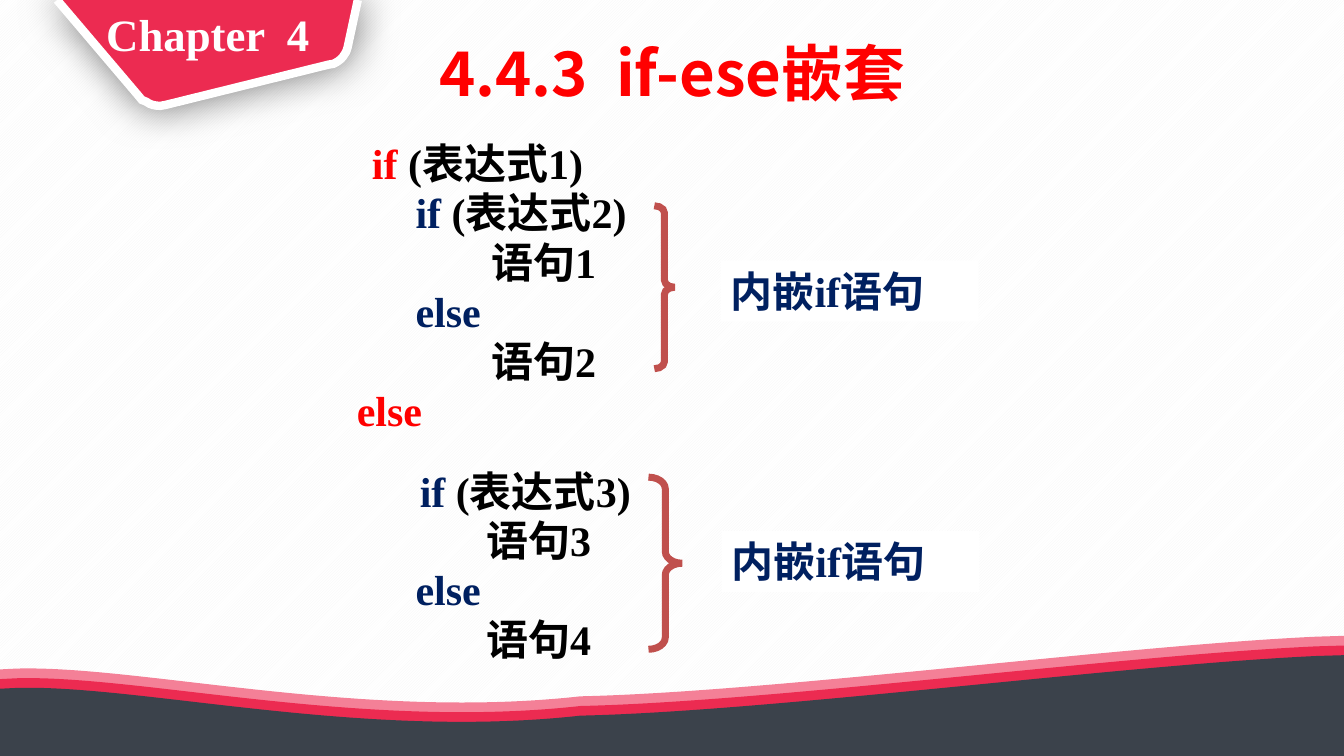
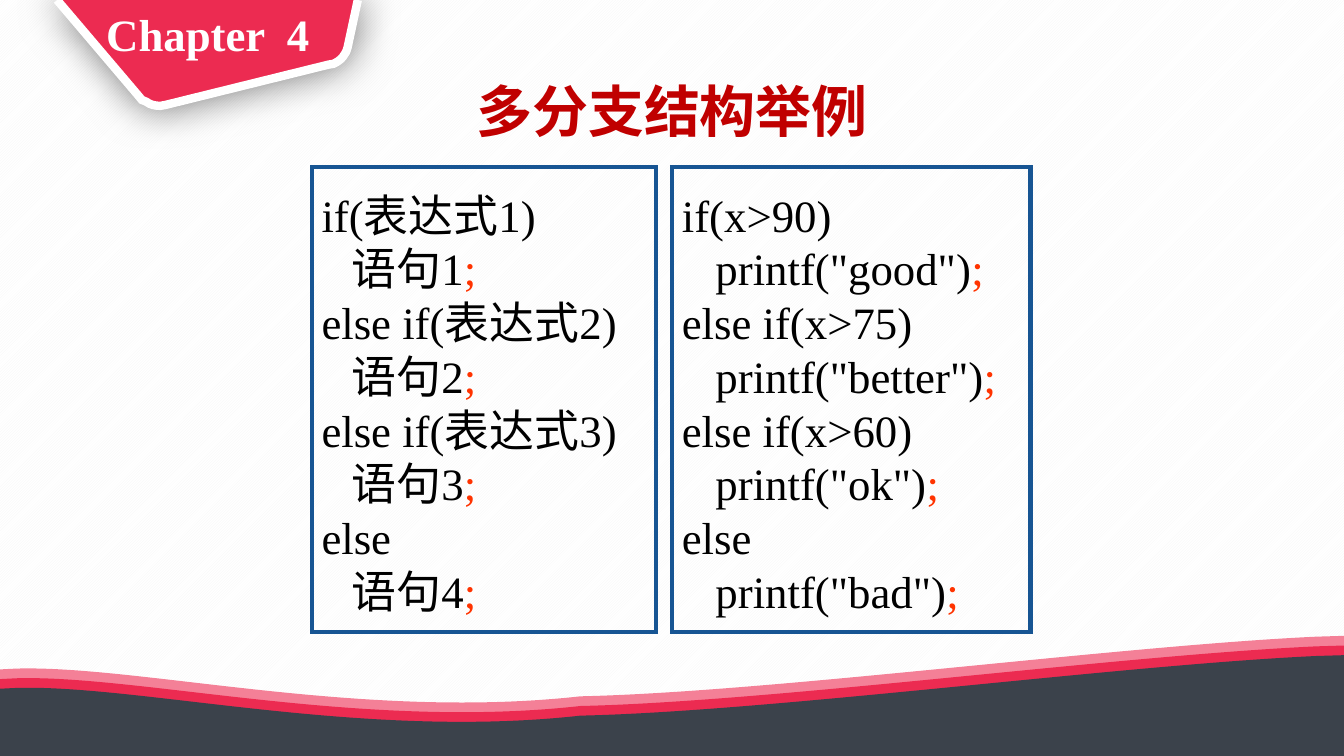
from dataclasses import dataclass

from lxml import etree
from pptx import Presentation, util as u
from pptx.dml.color import RGBColor
from pptx.enum import dml, shapes, text
from pptx.oxml.ns import qn

COLUMNS, ROWS = 160, 90
UNIT = u.Inches(7.5) / ROWS
SERIF, SANS = "Times New Roman", "Noto Sans CJK SC"
BLACK, WHITE, RED, NAVY = "000000", "FFFFFF", "FF0000", "002060"
CRIMSON, PINK, SLATE = "EC2B51", "F48097", "3B424B"
DARK_RED, BRACE_RED, FRAME_BLUE, SEMICOLON = "C00000", "C0504D", "175593", "FF3300"


@dataclass
class Box:
    """A rectangle in grid columns and rows."""
    left: float
    top: float
    width: float
    height: float

    def emu(self):
        return [grid(value) for value in (self.left, self.top, self.width, self.height)]


def grid(value):
    return u.Emu(round(value * UNIT))


def rgb(colour):
    return RGBColor.from_string(colour)


def paint(shape, fill=None, line=None, width=0):
    shape.shadow.inherit = False
    if fill:
        shape.fill.solid()
        shape.fill.fore_color.rgb = rgb(fill)
    else:
        shape.fill.background()
    if line:
        shape.line.color.rgb = rgb(line)
        shape.line.width = u.Pt(width)
        etree.SubElement(shape._element.spPr.find(qn("a:ln")), qn("a:miter"), lim="800000")
    else:
        shape.line.fill.background()
    return shape


def write(shape, lines, size, font=SERIF, bold=False, align=text.PP_ALIGN.LEFT,
          anchor=text.MSO_ANCHOR.TOP, spacing=None, before=0, top_inset=0.05):
    """Each line is (indent in columns, line spacing or None, [(words, colour), ...])."""
    frame = shape.text_frame
    frame.word_wrap = True
    frame.vertical_anchor = anchor
    frame.margin_top = u.Inches(top_inset)
    for index, (indent, line_spacing, runs) in enumerate(lines):
        paragraph = frame.paragraphs[0] if index == 0 else frame.add_paragraph()
        paragraph.alignment = align
        paragraph.line_spacing = line_spacing or spacing
        paragraph.space_before = u.Pt(before if index else 0)
        paragraph._p.get_or_add_pPr().set("marL", str(grid(indent)))
        for words, colour in runs:
            run = paragraph.add_run()
            run.text = words
            run.font.size, run.font.bold, run.font.name = u.Pt(size), bold, font
            run.font.color.rgb = rgb(colour)
            etree.SubElement(run._r.get_or_add_rPr(), qn("a:ea"), typeface=SANS)


def add_text(slide, box, lines, **style):
    shape = slide.shapes.add_textbox(*box.emu())
    write(shape, lines, **style)


def add_heading(slide, box, words, colour, **style):
    add_text(slide, box, [(0, 0.9, [(words, colour)])], bold=True,
             align=text.PP_ALIGN.CENTER, anchor=text.MSO_ANCHOR.MIDDLE, **style)


def add_outline(slide, outline, top=0, close=True):
    """Draw points, and curves given as (control, control, end)."""
    parts = [part if isinstance(part[0], tuple) else (part,) for part in outline]
    points = [(grid(x), grid(y + top)) for part in parts for x, y in part]
    builder = slide.shapes.build_freeform(*points[0])
    builder.add_line_segments(points[1:], close=close)
    shape = builder.convert_to_shape()
    segments = iter(list(shape._element.iter(qn("a:lnTo"))))
    for part in parts[1:]:
        segment = next(segments)
        if len(part) == 3:
            curve = etree.Element(qn("a:cubicBezTo"))
            segment.addprevious(curve)
            for piece in (segment, next(segments), next(segments)):
                curve.append(piece[0])
                piece.getparent().remove(piece)
    return shape


def add_glow(shape, blur, opacity):
    effects = shape._element.spPr.find(qn("a:effectLst"))
    shadow = etree.SubElement(effects, qn("a:outerShdw"), blurRad=str(u.Pt(blur)), dist="0")
    colour = etree.SubElement(shadow, qn("a:srgbClr"), val=BLACK)
    etree.SubElement(colour, qn("a:alpha"), val=str(opacity * 1000))


def add_wave(slide, top, colour):
    wave = [(COLUMNS, 0), (COLUMNS, 12), (0, 12), (0, 4), (2, 3.9),
            ((16.7, 3.5), (43, 10.1), (69.1, 7.2)),
            ((91.8, 6.7), (133, 1.2), (156.7, 0.1))]
    paint(add_outline(slide, wave, top), colour)


def add_chapter_tag(slide):
    tag = [(42.6, 0), (41.4, 5.6), ((41.2, 6.5), (40.6, 7.2), (39.7, 7.6)),
           (39.1, 7.7), (19.7, 12.5), (19.1, 12.6),
           ((18.5, 12.6), (17.9, 12.5), (17.4, 12.1)),
           (16.9, 11.9), (16.4, 11.3), (6.8, 0)]
    shape = paint(add_outline(slide, tag, close=False), CRIMSON, WHITE, 6)
    add_glow(shape, blur=29, opacity=52)


def add_slide(presentation, title, top, colour, size):
    slide = presentation.slides.add_slide(presentation.slide_layouts[6])
    add_wave(slide, 75.7, PINK)
    add_chapter_tag(slide)
    add_wave(slide, 76.85, CRIMSON)
    add_wave(slide, 78, SLATE)
    add_heading(slide, Box(10.3, 0.3, 28.9, 8.2), "Chapter  4", WHITE, size=32)
    add_heading(slide, Box(21.85, top, 116.3, 10), title, colour, size=size, font=SANS)
    return slide


def add_inner_if(slide, brace_box, label_box):
    label = slide.shapes.add_shape(shapes.MSO_SHAPE.RECTANGLE, *label_box.emu())
    write(paint(label, WHITE), [(0, None, [("内嵌if语句", NAVY)])], size=30, bold=True)
    brace = slide.shapes.add_shape(shapes.MSO_SHAPE.RIGHT_BRACE, *brace_box.emu())
    brace.adjustments[0] = 0.35
    paint(brace, line=BRACE_RED, width=5)


def add_code_frame(slide, box, code):
    frame = slide.shapes.add_shape(shapes.MSO_SHAPE.RECTANGLE, *box.emu())
    lines = []
    for line in code:
        runs = [(line.removesuffix(";"), BLACK)]
        if line.endswith(";"):
            runs.append((";", SEMICOLON))
        lines.append((0, None, runs))
    write(paint(frame, line=FRAME_BLUE, width=3), lines, size=32, top_inset=0.2)


def build_nested_if(presentation):
    slide = add_slide(presentation, "4.4.3  if-ese嵌套", 4.1, RED, 44)

    def condition(number, colour):
        return [("if ", colour), (f"(表达式{number})", BLACK)]

    def statement(number):
        return [(f"语句{number}", BLACK)]

    lines = [
        (6.9, 1.5, condition(1, RED)),
        (12.1, None, condition(2, NAVY)),
        (21.1, None, statement(1)),
        (12.1, None, [("else", NAVY)]),
        (21.1, None, statement(2)),
        (5.1, None, [("else", RED)]),
        (12.6, 1.5, condition(3, NAVY)),
        (20.5, None, statement(3)),
        (12.1, None, [("else", NAVY)]),
        (20.5, None, statement(4)),
    ]
    add_text(slide, Box(36.2, 12.8, 81.6, 67.7), lines, size=30, bold=True,
             spacing=0.9, before=3)
    add_inner_if(slide, Box(77.9, 24.5, 2.4, 19.4), Box(85.8, 31, 30.7, 7.3))
    add_inner_if(slide, Box(77.2, 56.8, 4, 20.5), Box(85.9, 63.2, 30.7, 7.3))


def build_branch_example(presentation):
    slide = add_slide(presentation, "多分支结构举例", 8.6, DARK_RED, 40)
    tests = ("if({})", "else if({})", "else if({})", "else")
    examples = (
        (Box(37.1, 19.9, 41, 55.3), ("表达式1", "表达式2", "表达式3", ""),
         ("语句1", "语句2", "语句3", "语句4")),
        (Box(80, 19.9, 42.7, 55.3), ("x>90", "x>75", "x>60", ""),
         ('printf("good")', 'printf("better")', 'printf("ok")', 'printf("bad")')),
    )
    for box, conditions, statements in examples:
        code = []
        for test, condition, statement in zip(tests, conditions, statements):
            code += [test.format(condition), f"   {statement};"]
        add_code_frame(slide, box, code)


def main():
    presentation = Presentation()
    presentation.slide_width, presentation.slide_height = grid(COLUMNS), grid(ROWS)
    backdrop = presentation.slide_master.background.fill
    backdrop.patterned()
    backdrop.pattern = dml.MSO_PATTERN.LIGHT_UPWARD_DIAGONAL
    backdrop.fore_color.rgb, backdrop.back_color.rgb = rgb("F5F5F5"), rgb(WHITE)
    build_nested_if(presentation)
    build_branch_example(presentation)
    presentation.save("out.pptx")


if __name__ == "__main__":
    main()
